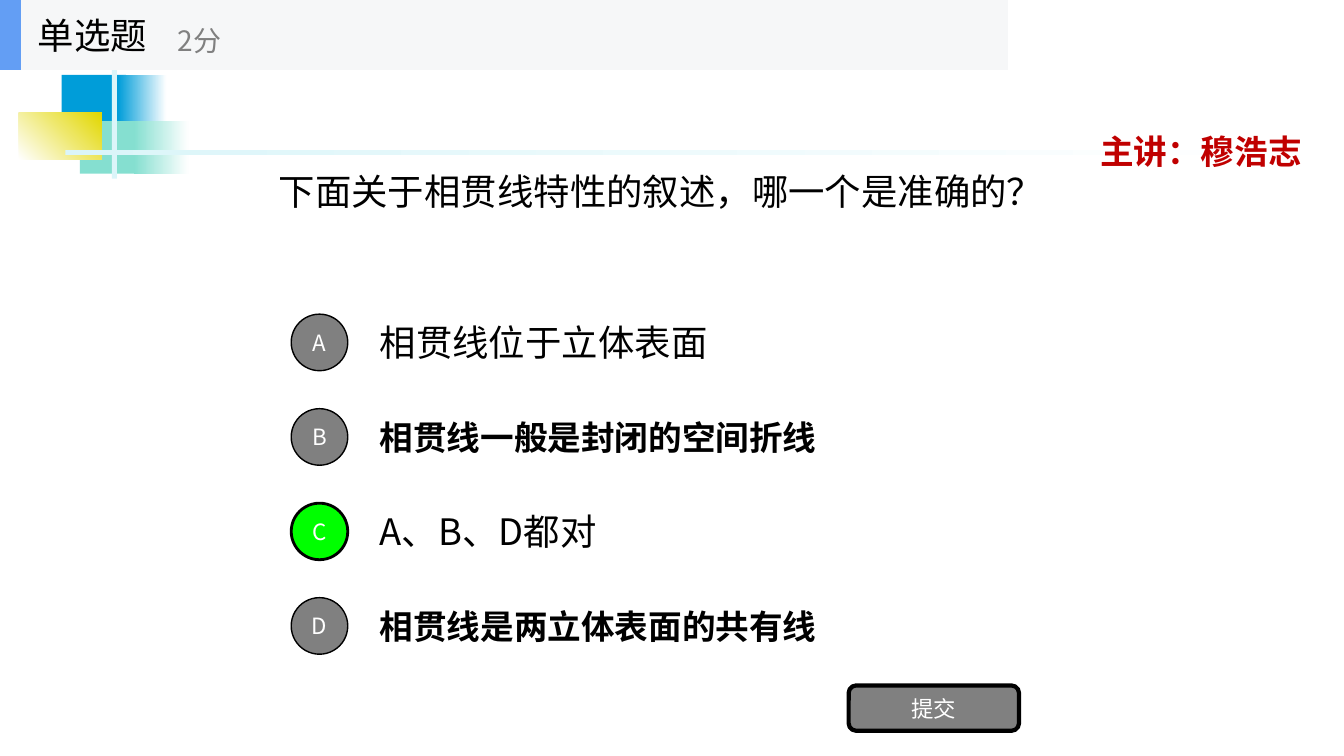
from lxml import etree
from pptx import Presentation
from pptx.dml.color import RGBColor
from pptx.enum.shapes import MSO_SHAPE
from pptx.enum.text import MSO_ANCHOR, PP_ALIGN
from pptx.oxml.ns import qn
from pptx.util import Pt

RECTANGLE = MSO_SHAPE.RECTANGLE
OVAL = MSO_SHAPE.OVAL
ROUNDED = MSO_SHAPE.ROUNDED_RECTANGLE
MIDDLE = MSO_ANCHOR.MIDDLE
LEFT, CENTER = PP_ALIGN.LEFT, PP_ALIGN.CENTER

THEME = {
    "font": "Noto Sans CJK SC", "bold_font": "Arial",
    "large": 26, "medium": 24, "points": 20, "small": 16,
    "black": "000000", "white": "FFFFFF", "gray": "808080",
    "correct": "00FF00", "lecturer": "C00000",
    "header": "F6F7F8", "accent": "639EF4",
    "blue": "009DD9", "mint": "85DFD0", "yellow": "E2D700", "ice": "DBF5F9",
}

LECTURER = "主讲：穆浩志"
HEADING = "单选题"
SCORE = "2分"
QUESTION = "下面关于相贯线特性的叙述，哪一个是准确的？"
SUBMIT = "提交"
OPTIONS = [
    ("A", "相贯线位于立体表面", 308, False),
    ("B", "相贯线一般是封闭的空间折线", 357, True),
    ("C", "A、B、D都对", 504, False),
    ("D", "相贯线是两立体表面的共有线", 428, True),
]
CORRECT = "C"

ORNAMENTS = [
    ((44, 53.5, 46, 37.5), ("blue",), 0),
    ((84.3, 53.5, 34.5, 37.5), ("blue", "white"), 0),
    ((57, 86.5, 44.5, 37.5), ("mint",), 0),
    ((95.7, 86.5, 39, 37.5), ("mint", "white"), 0),
    ((13.5, 80.7, 59, 33.3), ("white", "yellow"), 45),
    ((80, 44.7, 3.6, 83), ("ice",), 0),
    ((46.8, 107.2, 864, 3.6), ("ice", "white"), 0),
]

OPTION_TOP, OPTION_PITCH, OPTION_HEIGHT = 219.4, 67.5, 50.4
OPTION_LEFT, CIRCLE_LEFT, CIRCLE_SIZE = 264.2, 208, 40.4
HEADER_HEIGHT = 50


def color(name):
    return RGBColor.from_string(THEME[name])


def write_text(shape, text, size="large", ink="black", bold=False,
               font="font", align=LEFT, wrap=True):
    frame = shape.text_frame
    frame.word_wrap = wrap
    frame.vertical_anchor = MIDDLE
    paragraph = frame.paragraphs[0]
    paragraph.alignment = align
    run = paragraph.add_run()
    run.text = text
    run.font.size = Pt(THEME[size])
    run.font.bold = bold
    run.font.color.rgb = color(ink)
    run.font.name = THEME[font]
    east_asian = etree.SubElement(run.font._element, qn("a:ea"))
    east_asian.set("typeface", THEME["font"])


def add_text(slide, box, text, **style):
    write_text(slide.shapes.add_textbox(*map(Pt, box)), text, **style)


def add_shape(slide, kind, box, fills, angle=0, line=0):
    shape = slide.shapes.add_shape(kind, *map(Pt, box))
    shape.shadow.inherit = False
    if len(fills) == 1:
        shape.fill.solid()
        shape.fill.fore_color.rgb = color(fills[0])
    else:
        shape.fill.gradient()
        shape.fill.gradient_angle = angle
        for position, (stop, name) in enumerate(zip(shape.fill.gradient_stops, fills)):
            stop.position = position
            stop.color.rgb = color(name)
    if line:
        shape.line.color.rgb = color("black")
        shape.line.width = Pt(line)
    else:
        shape.line.fill.background()
    return shape


def add_button(slide, kind, box, text, fill, line):
    button = add_shape(slide, kind, box, (fill,), line=line)
    frame = button.text_frame
    frame.margin_left = frame.margin_right = 0
    frame.margin_top = frame.margin_bottom = 0
    write_text(button, text, size="small", ink="white", align=CENTER)


def add_options(slide):
    for row, (letter, text, width, bold) in enumerate(OPTIONS):
        top = OPTION_TOP + row * OPTION_PITCH
        add_text(slide, (OPTION_LEFT, top, width, OPTION_HEIGHT), text, bold=bold,
                 size="medium" if bold else "large",
                 font="bold_font" if bold else "font")
        correct = letter == CORRECT
        circle_top = top + (OPTION_HEIGHT - CIRCLE_SIZE) / 2
        add_button(slide, OVAL, (CIRCLE_LEFT, circle_top, CIRCLE_SIZE, CIRCLE_SIZE),
                   letter, "correct" if correct else "gray", 2 if correct else 1)


def add_header(slide):
    add_shape(slide, RECTANGLE, (0, 0, 720, HEADER_HEIGHT), ("header",))
    add_shape(slide, RECTANGLE, (0, 0, 15, HEADER_HEIGHT), ("accent",))
    add_text(slide, (20, 0, 150, HEADER_HEIGHT), HEADING, wrap=False)
    add_text(slide, (120, 8.6, 180, 40.3), SCORE, size="points", ink="gray", wrap=False)


def main():
    presentation = Presentation()
    presentation.slide_width, presentation.slide_height = Pt(960), Pt(540)
    slide = presentation.slides.add_slide(presentation.slide_layouts[6])
    for box, fills, angle in ORNAMENTS:
        add_shape(slide, RECTANGLE, box, fills, angle)
    add_text(slide, (746.6, 89.3, 222.5, 36.7), LECTURER, size="medium",
             ink="lecturer", bold=True, align=CENTER)
    add_text(slide, (192, 108.7, 558, 54.7), QUESTION)
    add_options(slide)
    add_button(slide, ROUNDED, (606.2, 489.6, 121.7, 32.4), SUBMIT, "gray", 3)
    add_header(slide)
    presentation.save("out.pptx")


if __name__ == "__main__":
    main()
